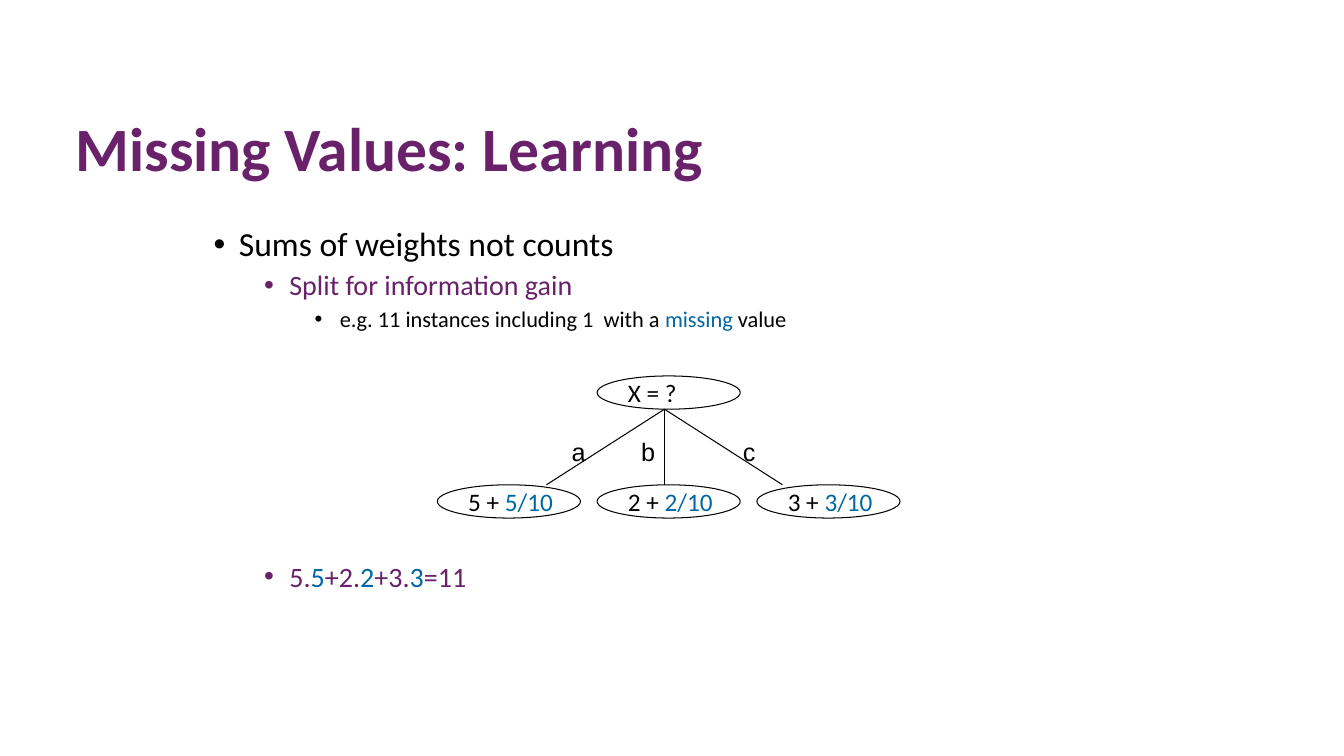
from typing import NamedTuple

from lxml import etree
from pptx import Presentation
from pptx.dml.color import RGBColor
from pptx.enum.shapes import MSO_CONNECTOR, MSO_SHAPE
from pptx.enum.text import MSO_ANCHOR, MSO_AUTO_SIZE, PP_ALIGN
from pptx.oxml.ns import qn
from pptx.util import Inches, Pt

OVAL = MSO_SHAPE.OVAL
LINE = MSO_CONNECTOR.STRAIGHT
TOP, MIDDLE = MSO_ANCHOR.TOP, MSO_ANCHOR.MIDDLE
LEFT = PP_ALIGN.LEFT
FIT, FIXED = MSO_AUTO_SIZE.SHAPE_TO_FIT_TEXT, MSO_AUTO_SIZE.NONE

BLACK, PLUM, BLUE = "000000", "69216A", "0067A4"
WIDE, HIGH = Inches(13.33), Inches(7.5)

Run = tuple[str, str]  # wording, colour


class Box(NamedTuple):
    """Left, top, width and height in percent of the slide."""
    x: float
    y: float
    w: float
    h: float


class Item(NamedTuple):
    level: int
    size: int
    before: float
    runs: list[Run]


class Branch(NamedTuple):
    label: str
    left: float  # left edge of the label, in percent
    count: str
    share: str


ITEMS = [
    Item(0, 24, 0, [("Sums of weights not counts", BLACK)]),
    Item(1, 20, 5, [("Split for information gain", PLUM)]),
    Item(2, 16, 5, [("e.g. 11 instances including 1  with a ", BLACK),
                    ("missing", BLUE), (" value", BLACK)]),
    # The wide gap leaves room for the tree
    Item(1, 20, 164.6, [("5.", PLUM), ("5", BLUE), ("+2.", PLUM), ("2", BLUE),
                        ("+3.", PLUM), ("3", BLUE), ("=11", PLUM)]),
]
BRANCHES = [
    Branch("a", 41.79, "5 + ", "5/10"),
    Branch("b", 46.96, "2 + ", "2/10"),
    Branch("c", 54.54, "3 + ", "3/10"),
]

# Tree grid, in percent
ROOT = Box(44.43, 49.73, 10.65, 4.4)
LEAF_Y, STEP = 64.13, 11.89
FORK_X, SPREAD = 49.44, 8.78


def across(share: float) -> int:
    return round(WIDE * share / 100)


def down(share: float) -> int:
    return round(HIGH * share / 100)


def place(box: Box) -> tuple[int, int, int, int]:
    return across(box.x), down(box.y), across(box.w), down(box.h)


def paint(hue: str) -> RGBColor:
    return RGBColor.from_string(hue)


def write(para, runs: list[Run], size: int, face: str = "Calibri") -> None:
    font = para.font
    font.size, font.name = Pt(size), face
    same = len({hue for _, hue in runs}) == 1
    if same:
        font.color.rgb = paint(runs[0][1])
    for words, hue in runs:
        run = para.add_run()
        run.text = words
        if not same:
            run.font.color.rgb = paint(hue)


def bullet(para, level: int) -> None:
    props = para._p.get_or_add_pPr()
    props.set("marL", str(Inches(0.25 + 0.5 * level)))
    props.set("indent", str(Inches(-0.25)))
    etree.SubElement(props, qn("a:buFont")).set("typeface", "Arial")
    etree.SubElement(props, qn("a:buChar")).set("char", "•")


def hold(holder, box: Box):
    holder.left, holder.top, holder.width, holder.height = place(box)
    frame = holder.text_frame
    frame.auto_size, frame.vertical_anchor = FIXED, TOP
    frame.word_wrap = True
    return frame


def node(slide, box: Box, runs: list[Run]) -> None:
    oval = slide.shapes.add_shape(OVAL, *place(box))
    oval.shadow.inherit = False
    oval.fill.background()
    oval.line.color.rgb, oval.line.width = paint(BLACK), Pt(0.75)
    frame = oval.text_frame
    frame.word_wrap, frame.vertical_anchor = False, MIDDLE
    para = frame.paragraphs[0]
    para.alignment = LEFT
    write(para, runs, 18)


def edge(slide, end: float) -> None:
    line = slide.shapes.add_connector(
        LINE, across(FORK_X), down(ROOT.y + ROOT.h), across(end), down(LEAF_Y))
    line.line.color.rgb, line.line.width = paint(BLACK), Pt(0.75)
    etree.SubElement(line._element.spPr, qn("a:effectLst"))


def label(slide, words: str, left: float) -> None:
    box = slide.shapes.add_textbox(*place(Box(left, 57.07, 2.55, 5.33)))
    frame = box.text_frame
    frame.word_wrap, frame.auto_size = False, FIT
    write(frame.paragraphs[0], [(words, BLACK)], 18, "Arial")


def main() -> None:
    deck = Presentation()
    deck.slide_width, deck.slide_height = WIDE, HIGH
    slide = deck.slides.add_slide(deck.slide_layouts[1])

    # Title
    head = hold(slide.shapes.title, Box(4.88, 14.93, 86.27, 13.73)).paragraphs[0]
    head.alignment, head.line_spacing = LEFT, 0.9
    write(head, [("Missing Values: Learning", PLUM)], 44)
    head.font.bold = True

    # Bullet list
    body = hold(slide.placeholders[1], Box(15.15, 29.47, 66.77, 65.73))
    for i, item in enumerate(ITEMS):
        para = body.add_paragraph() if i else body.paragraphs[0]
        para.level = item.level
        para.line_spacing, para.space_before = 0.9, Pt(item.before)
        bullet(para, item.level)
        write(para, item.runs, item.size)

    # Tree with its root, edges, labels and leaves
    node(slide, ROOT, [("X = ?", BLACK)])
    for side, branch in enumerate(BRANCHES, start=-1):
        edge(slide, FORK_X + side * SPREAD)
        label(slide, branch.label, branch.left)
        node(slide, ROOT._replace(x=ROOT.x + side * STEP, y=LEAF_Y),
             [(branch.count, BLACK), (branch.share, BLUE)])

    deck.save("out.pptx")


if __name__ == "__main__":
    main()
